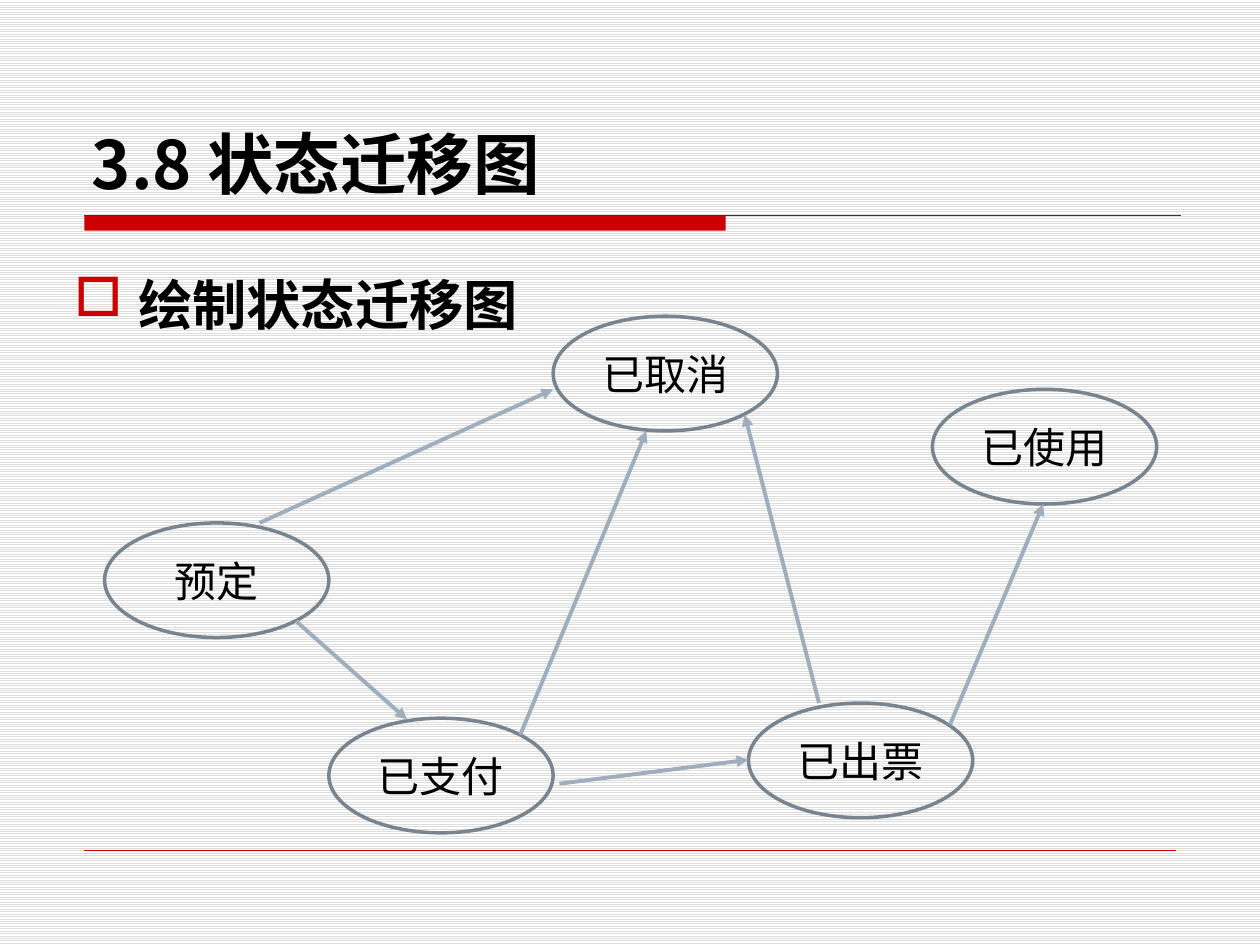
"""Build the ticket state transition slide."""
from lxml import etree
from pptx import Presentation, util as u
from pptx.dml.color import RGBColor
from pptx.enum import dml, shapes, text
from pptx.oxml.ns import qn

deck = Presentation()
deck.slide_width, deck.slide_height = u.Inches(10), u.Inches(7.5)
COL, ROW = deck.slide_width / 100, deck.slide_height / 75
color = RGBColor.from_string


def write(box, words, size, font="DejaVu Sans", bold=False, anchor="MIDDLE", align="CENTER", bullet=None):
    frame = box.text_frame
    frame.auto_size = text.MSO_AUTO_SIZE.NONE
    frame.word_wrap = bullet is not None or bold
    frame.vertical_anchor = text.MSO_ANCHOR[anchor]
    para = frame.paragraphs[0]
    para.alignment = text.PP_ALIGN[align]
    if bullet:
        props = para._p.get_or_add_pPr()
        props.set("marL", str(u.Inches(0.51)))
        props.set("indent", str(u.Inches(-0.51)))
        tint = etree.SubElement(props, qn("a:buClr"))
        etree.SubElement(tint, qn("a:srgbClr")).set("val", "CC0000")
        etree.SubElement(props, qn("a:buChar")).set("char", bullet)
    span = para.add_run()
    span.text = words
    span.font.name, span.font.size, span.font.bold = font, u.Pt(size), bold
    span.font.color.rgb = color("000000")
    etree.SubElement(span._r.get_or_add_rPr(), qn("a:ea")).set("typeface", "Noto Sans CJK SC")


def draw_line(start, end, tint, width, arrow=False):
    (x1, y1), (x2, y2) = start, end
    line = page.shapes.add_connector(
        shapes.MSO_CONNECTOR.STRAIGHT, int(x1 * COL), int(y1 * ROW), int(x2 * COL), int(y2 * ROW))
    line.line.color.rgb, line.line.width = color(tint), u.Pt(width)
    if arrow:
        etree.SubElement(line.line._get_or_add_ln(), qn("a:tailEnd")).set("type", "triangle")
    etree.SubElement(line._element.spPr, qn("a:effectLst"))


page = deck.slides.add_slide(deck.slide_layouts[5])
backdrop = page.background.fill
backdrop.patterned()
backdrop.pattern = dml.MSO_PATTERN.LIGHT_HORIZONTAL
backdrop.fore_color.rgb, backdrop.back_color.rgb = color("DDDDDD"), color("FFFFFF")

title = page.shapes.title
title.left, title.top = int(6.3 * COL), int(3.3 * ROW)
title.width, title.height = int(87.5 * COL), int(13.3 * ROW)
write(title, "3.8 状态迁移图", 38, font="Noto Sans CJK SC", bold=True, anchor="BOTTOM", align="LEFT")

bar = page.shapes.add_shape(
    shapes.MSO_SHAPE.RECTANGLE, int(6.7 * COL), int(17.1 * ROW), int(50.9 * COL), int(1.2 * ROW))
bar.shadow.inherit = False
bar.fill.solid()
bar.fill.fore_color.rgb = color("CC0000")
bar.line.fill.background()
draw_line((6.7, 17.1), (93.7, 17.1), "333333", 0.75)
draw_line((6.7, 67.5), (93.3, 67.5), "CC0000", 0.25)

topic = page.shapes.add_textbox(int(4.9 * COL), int(19 * ROW), int(38.6 * COL), int(8.2 * ROW))
write(topic, "绘制状态迁移图", 31, bold=True, anchor="BOTTOM", align="LEFT", bullet="□")

states = {"已支付": (26.1, 57), "预定": (8.3, 41.5), "已取消": (43.9, 25.1),
          "已出票": (59.4, 55.8), "已使用": (74, 30.9)}
for name, (left, top) in states.items():
    state = page.shapes.add_shape(
        shapes.MSO_SHAPE.OVAL, int(left * COL), int(top * ROW), int(17.8 * COL), int(9.1 * ROW))
    state.shadow.inherit = False
    state.fill.background()
    state.line.color.rgb, state.line.width = color("79848F"), u.Pt(2)
    write(state, name, 24)

moves = [((23.5, 49.3), (32.3, 57.1)), ((20.6, 41.5), (43.9, 30.9)), ((41.3, 58.3), (51.3, 34.2)),
         ((65, 55.8), (59.1, 32.9)), ((44.4, 62.2), (59.4, 60.3)), ((75.4, 57.5), (82.8, 40))]
for start, end in moves:
    draw_line(start, end, "9FAEBD", 2.25, arrow=True)

deck.save("out.pptx")
